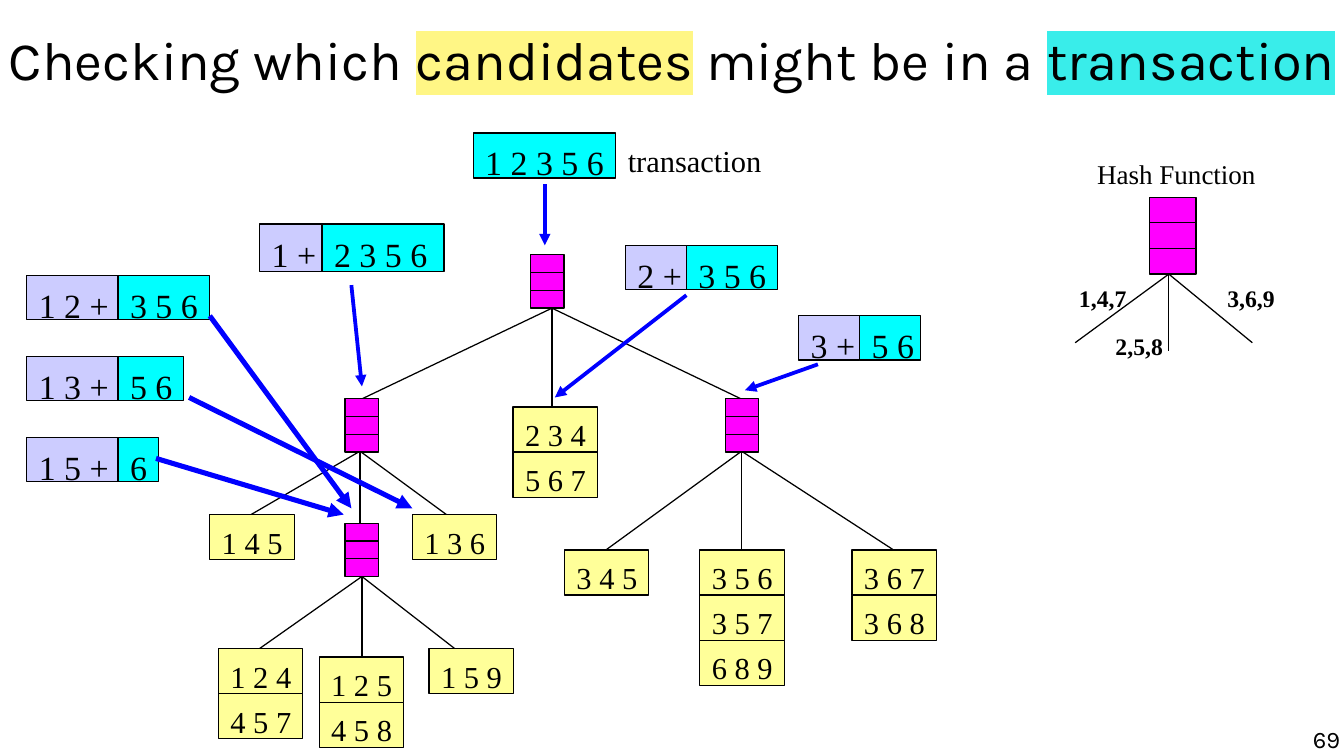
from lxml.etree import SubElement
from pptx import Presentation
from pptx.dml.color import RGBColor
from pptx.enum.shapes import MSO_CONNECTOR, MSO_SHAPE
from pptx.enum.text import MSO_ANCHOR, PP_ALIGN
from pptx.oxml.ns import qn
from pptx.util import Cm, Pt

BLACK, BLUE, MAGENTA = "000000", "0000FF", "FF00FF"
CYAN, LAVENDER, YELLOW = "00FFFF", "CCCCFF", "FFFF99"
SERIF, SANS = "Times New Roman", "Karla"


def color(value):
    return RGBColor.from_string(value)


def write(para, text, size=18, name=SERIF, bold=False, highlight=None):
    span = para.add_run()
    span.text = text
    span.font.size = Pt(size)
    span.font.bold = bold
    span.font.color.rgb = color(BLACK)
    if highlight:
        mark = SubElement(span._r.get_or_add_rPr(), qn("a:highlight"))
        SubElement(mark, qn("a:srgbClr"), val=highlight)
    span.font.name = name


class TreePage:
    leaf_width, leaf_height = 1.76, 0.94
    node_width, node_height = 0.7, 1.11

    def __init__(self, deck):
        self.page = deck.slides.add_slide(deck.slide_layouts[5])
        self.shapes = self.page.shapes

    def frame(self, box, margins, anchor=MSO_ANCHOR.TOP):
        frame = box.text_frame
        frame.word_wrap = True
        frame.vertical_anchor = anchor
        (frame.margin_left, frame.margin_top,
         frame.margin_right, frame.margin_bottom) = map(Cm, margins)
        return frame.paragraphs[0]

    def title(self, spans):
        box = self.shapes.title
        box.left, box.top, box.width, box.height = Cm(0.12), Cm(-0.3), Cm(27.76), Cm(3.07)
        para = self.frame(box, (0, 0, 0, 0), MSO_ANCHOR.MIDDLE)
        para.alignment = PP_ALIGN.CENTER
        for text, highlight in spans:
            write(para, text, size=32, name=SANS, highlight=highlight)

    def label(self, text, left, top, width, height=0.9, margins=(0.25, 0.19, 0, 0),
              align=PP_ALIGN.LEFT, **style):
        box = self.shapes.add_textbox(Cm(left), Cm(top), Cm(width), Cm(height))
        para = self.frame(box, margins)
        para.alignment = align
        write(para, text, **style)

    def rectangle(self, left, top, width, height, fill, text=None, size=18):
        box = self.shapes.add_shape(MSO_SHAPE.RECTANGLE, Cm(left), Cm(top), Cm(width), Cm(height))
        box.shadow.inherit = False
        box.fill.solid()
        box.fill.fore_color.rgb = color(fill)
        box.line.color.rgb = color(BLACK)
        box.line.width = Pt(0.75)
        if text:
            para = self.frame(box, (0.25, 0.19, 0, 0))
            para.alignment = PP_ALIGN.LEFT
            write(para, text, size=size)

    def line(self, start, end, stroke=BLACK, width=0.75, arrow=False):
        line = self.shapes.add_connector(MSO_CONNECTOR.STRAIGHT, *map(Cm, start + end))
        line.line.color.rgb = color(stroke)
        line.line.width = Pt(width)
        if arrow:
            SubElement(line.line._get_or_add_ln(), qn("a:tailEnd"), type="triangle")
        SubElement(line._element.spPr, qn("a:effectLst"))

    def branches(self, start, ends):
        for end in ends:
            self.line(start, end)

    def node(self, left, top, width=node_width, height=node_height):
        self.rectangle(left, top, width, height, MAGENTA)
        for third in (1, 2):
            level = top + height * third / 3
            self.line((left, level), (left + width, level))

    def leaf(self, left, top, itemsets):
        for row, itemset in enumerate(itemsets):
            self.rectangle(left, top + row * self.leaf_height, self.leaf_width,
                           self.leaf_height, YELLOW, itemset)

    def split(self, left, top, prefix, prefix_width, rest, rest_width, height=0.92):
        self.rectangle(left + prefix_width, top, rest_width, height, CYAN, rest, 20)
        self.rectangle(left, top, prefix_width, height, LAVENDER, prefix, 20)


def main():
    deck = Presentation()
    deck.slide_width, deck.slide_height = Cm(28), Cm(15.75)
    tree = TreePage(deck)
    tree.title([("Checking which ", None), ("candidates", "FFF685"),
                (" might be in a ", None), ("transaction", "39EDEA")])

    for start, ends in (
        ((24.35, 5.71), ((22.4, 7.14), (24.35, 7.31), (26.09, 7.14))),
        ((11.5, 6.42), ((7.54, 8.31), (11.5, 8.48), (15.44, 8.31))),
        ((7.5, 9.4), ((5.23, 10.72), (7.5, 10.9), (9.3, 10.72))),
        ((15.45, 9.4), ((12.62, 11.46), (15.45, 11.46), (18.62, 11.46))),
        ((7.54, 12.01), ((5.41, 13.51), (7.54, 13.69), (9.47, 13.51))),
    ):
        tree.branches(start, ends)

    tree.node(23.95, 4.11, 0.97, 1.6)
    for left, top in ((11.05, 5.31), (7.19, 8.31), (15.11, 8.31), (7.19, 10.9)):
        tree.node(left, top)

    tree.label("Hash Function", 22.61, 3.1, 4.2, size=16)
    for text, left, top in (("1,4,7", 22.23, 5.72), ("2,5,8", 22.99, 6.73), ("3,6,9", 25.32, 5.72)):
        tree.label(text, left, top, 1.6, size=14, bold=True)

    for left, top, itemsets in (
        (4.37, 10.72, ["1 4 5"]),
        (8.59, 10.72, ["1 3 6"]),
        (4.55, 13.51, ["1 2 4", "4 5 7"]),
        (6.65, 13.69, ["1 2 5", "4 5 8"]),
        (8.94, 13.51, ["1 5 9"]),
        (10.69, 8.48, ["2 3 4", "5 6 7"]),
        (11.76, 11.46, ["3 4 5"]),
        (14.58, 11.46, ["3 5 6", "3 5 7", "6 8 9"]),
        (17.75, 11.46, ["3 6 7", "3 6 8"]),
    ):
        tree.leaf(left, top, itemsets)

    tree.rectangle(9.86, 2.77, 2.97, 0.94, CYAN, "1 2 3 5 6", 20)
    tree.label("transaction", 12.83, 2.77, 3.4)
    tree.split(5.41, 4.67, "1 +", 1.3, "2 3 5 6", 2.54, height=0.99)
    tree.split(13.03, 5.11, "2 +", 1.27, "3 5 6", 1.9)
    tree.split(16.64, 6.58, "3 +", 1.27, "5 6", 1.27)
    tree.split(0.56, 5.74, "1 2 +", 1.9, "3 5 6", 1.9)
    tree.split(0.56, 7.43, "1 3 +", 1.9, "5 6", 1.37)
    tree.split(0.56, 9.12, "1 5 +", 1.9, "6", 0.84)

    for start, end, width in (
        ((11.35, 3.84), (11.35, 5.11), 2.25),
        ((7.32, 5.94), (7.54, 8.05), 2.25),
        ((14.3, 6.15), (11.56, 8.28), 2.25),
        ((17.04, 7.59), (15.52, 8.13), 2.25),
        ((4.37, 6.58), (7.32, 10.59), 3),
        ((3.25, 9.55), (7.16, 10.72), 3),
        ((3.94, 8.28), (8.59, 10.59), 3),
    ):
        tree.line(start, end, BLUE, width, arrow=True)

    tree.label("69", 21.39, 15.11, 6.53, 0.64, margins=(0, 0, 0, 0),
               align=PP_ALIGN.RIGHT, size=14, name=SANS)
    deck.save("out.pptx")


if __name__ == "__main__":
    main()
